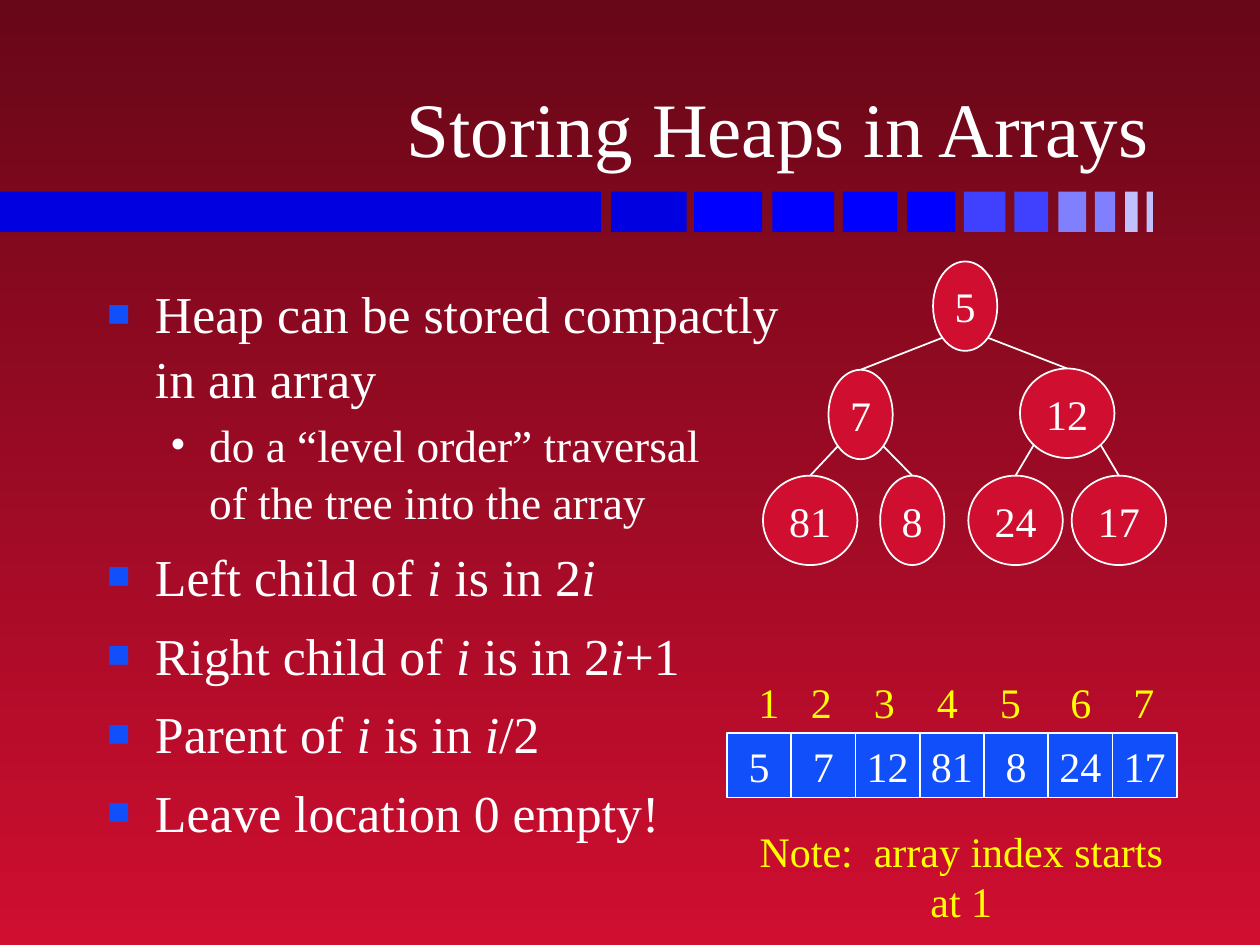
"""Build the slide on storing heaps in arrays."""
from math import sqrt

from lxml.etree import SubElement
from pptx import Presentation
from pptx.dml.color import RGBColor
from pptx.enum.shapes import MSO_CONNECTOR, MSO_SHAPE
from pptx.enum.text import MSO_ANCHOR, MSO_AUTO_SIZE, PP_ALIGN
from pptx.oxml.ns import qn
from pptx.util import Inches, Pt

FONT = "Times New Roman"
WHITE, YELLOW, RED, BLUE = "FFFFFF", "FFFF00", "CF0E30", "114FFB"
BACKGROUND = ["670718", RED]
TITLE = "Storing Heaps in Arrays"
NOTE = "Note:  array index starts at 1"
HEAP = [5, 7, 12, 81, 8, 24, 17]

POINTS = [
    (0, ["Heap can be stored compactly\vin an array"]),
    (1, ["do a “level order” traversal \vof the tree into the array"]),
    (0, ["Left child of ", "i", " is in 2", "i"]),
    (0, ["Right child of ", "i", " is in 2", "i", "+1"]),
    (0, ["Parent of ", "i", " is in ", "i", "/2"]),
    (0, ["Leave location 0 empty!"]),
]
LEVELS = [
    dict(size=29.6, before=8, margin=0.38, hang=0.38, bullet="■", color=BLUE, scale=75),
    dict(size=25.9, before=3.5, margin=0.81, hang=0.31, bullet="•", color=WHITE, scale=100),
]
STRIPES = [
    (0, 4.77, "0000E0"), (4.85, 0.6, "0000E0"), (5.51, 0.54, "0000FF"),
    (6.13, 0.49, "0000FF"), (6.69, 0.43, "0000FF"), (7.2, 0.38, "0000FF"),
    (7.65, 0.33, "4040FF"), (8.05, 0.27, "4040FF"), (8.4, 0.22, "8080FF"),
    (8.69, 0.16, "8080FF"), (8.93, 0.1, "C0C0FF"), (9.1, 0.05, "C0C0FF"),
]
NODE_CENTERS = [(7.66, 2.43), (6.83, 3.29), (8.47, 3.28),
                (6.43, 4.13), (7.24, 4.13), (8.06, 4.13), (8.88, 4.13)]
NODE_HEIGHT = 0.71
CELL = 0.51
INDEX_TABS = [0.5, 1, 1.5, 2, 2.56, 3.06]


def rgb(color):
    """Turn a hex string into a colour."""
    return RGBColor.from_string(color)


def box(left, top, width, height):
    """Convert a frame in inches to lengths."""
    return [Inches(value) for value in (left, top, width, height)]


def place(shape, *frame):
    """Move and size a placeholder."""
    shape.left, shape.top, shape.width, shape.height = box(*frame)


def write(paragraph, text, size=24, color=WHITE, italic=False):
    """Add a run, with line breaks where the text has them."""
    for number, line in enumerate(text.split("\v")):
        if number:
            paragraph.add_line_break()
        run = paragraph.add_run()
        run.text = line
        run.font.name, run.font.size = FONT, Pt(size)
        run.font.color.rgb = rgb(color)
        run.font.italic = italic


def add_block(kind, frame, fill, label=None):
    """Add a filled shape, outlined when it carries a label."""
    block = slide.shapes.add_shape(kind, *box(*frame))
    block.shadow.inherit = False
    block.fill.solid()
    block.fill.fore_color.rgb = rgb(fill)
    if label is None:
        block.line.fill.background()
        return
    block.line.color.rgb = rgb(WHITE)
    block.line.width = Pt(1)
    block.text_frame.word_wrap = False
    block.text_frame.vertical_anchor = MSO_ANCHOR.MIDDLE
    paragraph = block.text_frame.paragraphs[0]
    paragraph.alignment = PP_ALIGN.CENTER
    write(paragraph, str(label))


def add_caption(frame, text, alignment):
    """Add a yellow text box and return its paragraph."""
    caption = slide.shapes.add_textbox(*box(*frame)).text_frame
    caption.word_wrap = True
    paragraph = caption.paragraphs[0]
    paragraph.alignment = alignment
    write(paragraph, text, color=YELLOW)
    return paragraph


def add_edge(start, end):
    """Join two points with a thin white line."""
    edge = slide.shapes.add_connector(
        MSO_CONNECTOR.STRAIGHT, *[Inches(value) for value in (*start, *end)])
    edge.line.color.rgb = rgb(WHITE)
    edge.line.width = Pt(1)
    SubElement(edge._element.spPr, qn("a:effectLst"))


def node_width(value):
    """Give two-digit nodes more room."""
    return 0.51 if value < 10 else 0.75


def set_bullet(paragraph, level):
    """Set the indent and bullet of a list paragraph."""
    properties = paragraph._p.get_or_add_pPr()
    properties.set("marL", str(Inches(level["margin"])))
    properties.set("indent", str(-Inches(level["hang"])))
    color = SubElement(properties, qn("a:buClr"))
    SubElement(color, qn("a:srgbClr"), val=level["color"])
    SubElement(properties, qn("a:buSzPct"), val=str(level["scale"] * 1000))
    SubElement(properties, qn("a:buFont"), typeface=FONT)
    SubElement(properties, qn("a:buChar"), char=level["bullet"])


deck = Presentation()
deck.slide_width, deck.slide_height = Inches(10), Inches(7.5)
slide = deck.slides.add_slide(deck.slide_layouts[1])

backdrop = slide.background.fill
backdrop.gradient()
backdrop.gradient_angle = 270
for stop, color, position in zip(backdrop.gradient_stops, BACKGROUND, (0, 1)):
    stop.color.rgb = rgb(color)
    stop.position = position

for left, width, color in STRIPES:
    add_block(MSO_SHAPE.RECTANGLE, (left, 1.52, width, 0.32), color)

title, body = slide.placeholders
place(title, 0.74, 0.19, 8.48, 1.23)
title.text_frame.auto_size = MSO_AUTO_SIZE.NONE
title.text_frame.vertical_anchor = MSO_ANCHOR.BOTTOM
heading = title.text_frame.paragraphs[0]
heading.alignment = PP_ALIGN.RIGHT
write(heading, TITLE, 44)

place(body, 0.75, 2.17, 8.5, 4.5)
body.text_frame.auto_size = MSO_AUTO_SIZE.NONE
for number, (depth, pieces) in enumerate(POINTS):
    level = LEVELS[depth]
    point = body.text_frame.add_paragraph() if number else body.text_frame.paragraphs[0]
    point.level = depth
    point.line_spacing = 1.04
    point.space_before = Pt(level["before"] if number else 0)
    set_bullet(point, level)
    for piece in pieces:
        write(point, piece, level["size"], italic=piece == "i")

for child in range(1, len(HEAP)):
    parent = (child - 1) // 2
    (parent_x, parent_y), (child_x, child_y) = NODE_CENTERS[parent], NODE_CENTERS[child]
    side = -1 if child % 2 else 1
    reach = node_width(HEAP[parent]) / 2 / sqrt(2)
    add_edge((parent_x + side * reach, parent_y + NODE_HEIGHT / 2 / sqrt(2)),
             (child_x, child_y - NODE_HEIGHT / 2))

for index, (value, (x, y)) in enumerate(zip(HEAP, NODE_CENTERS)):
    width = node_width(value)
    add_block(MSO_SHAPE.OVAL,
              (x - width / 2, y - NODE_HEIGHT / 2, width, NODE_HEIGHT), RED, value)
    add_block(MSO_SHAPE.RECTANGLE, (5.77 + index * CELL, 5.82, CELL, CELL), BLUE, value)

labels = "\t".join(str(index) for index in range(1, len(HEAP) + 1))
indices = add_caption((5.92, 5.32, 3.34, 0.5), labels, PP_ALIGN.LEFT)
tabs = SubElement(indices._p.get_or_add_pPr(), qn("a:tabLst"))
for tab in INDEX_TABS:
    SubElement(tabs, qn("a:tab"), pos=str(Inches(tab)), algn="ctr")

add_caption((5.93, 6.5, 3.4, 0.9), NOTE, PP_ALIGN.CENTER)

deck.save("out.pptx")
